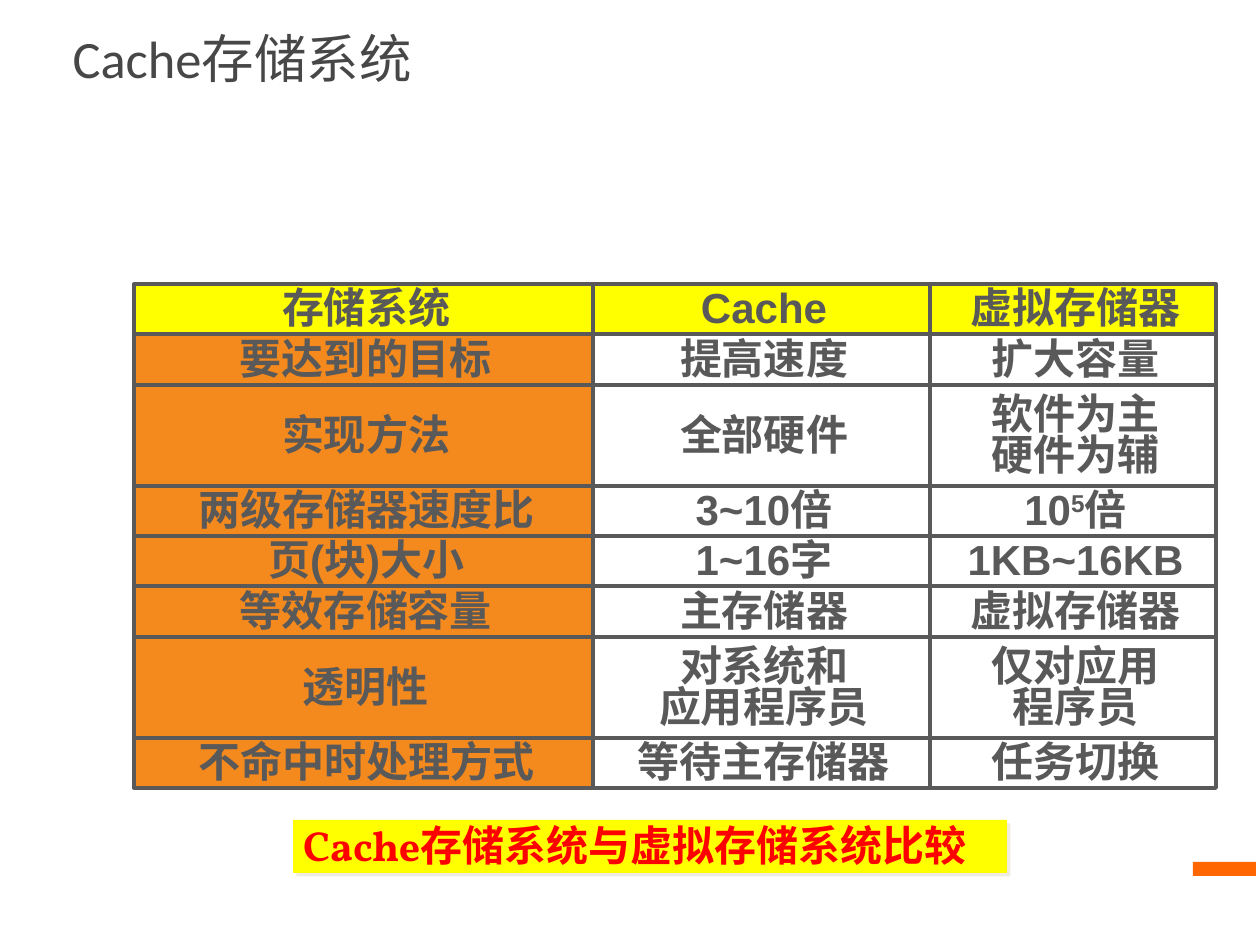
from itertools import accumulate
from typing import Any, NamedTuple

from lxml.etree import SubElement as Sub
from pptx import Presentation
from pptx.dml.color import RGBColor
from pptx.enum.shapes import MSO_SHAPE as Shape
from pptx.enum.text import MSO_ANCHOR as Anchor, MSO_AUTO_SIZE as Auto, PP_ALIGN as Align
from pptx.oxml.ns import qn
from pptx.util import Emu, Pt

GREY, YELLOW, ORANGE = "595959", "FFFF00", "F4891E"
CELL = {"name": "Arial", "size": Pt(24), "bold": True}
NOTE = {"name": "Vollkorn", "size": Pt(24), "bold": True}
HEAD = {"name": "Calibri", "size": Pt(30), "bold": False}
PAD = {"margin_left": 10, "margin_right": 5, "margin_top": 5, "margin_bottom": 0}


class Box(NamedTuple):
    x: int
    y: int
    w: int
    h: int


class Row(NamedTuple):
    label: str
    cache: str
    virtual: str
    lines: int = 1


GRID = Box(134, 284, 1082, 504)
COLS = (459, 337, 286)
ROWS = (
    Row("存储系统", "Cache", "虚拟存储器"),
    Row("要达到的目标", "提高速度", "扩大容量"),
    Row("实现方法", "全部硬件", "软件为主\n硬件为辅", 2),
    Row("两级存储器速度比", "3~10倍", "10^5^倍"),
    Row("页(块)大小", "1~16字", "1KB~16KB"),
    Row("等效存储容量", "主存储器", "虚拟存储器"),
    Row("透明性", "对系统和\v应用程序员", "仅对应用\v程序员", 2),
    Row("不命中时处理方式", "等待主存储器", "任务切换"),
)


def px(n: int) -> Emu:
    return Emu(round(n * 914400 / 126))


def rgb(code: str) -> RGBColor:
    return RGBColor.from_string(code)


def style(item: Any, form: dict[str, Any]) -> None:
    for key, val in form.items():
        setattr(item, key, val)


def add_run(para: Any, text: str, form: dict[str, Any], color: str) -> Any:
    """Add a run whose Latin and East Asian fonts are the same."""
    run = para.add_run()
    run.text = text
    style(run.font, form)
    run.font.color.rgb = rgb(color)
    Sub(run.font._element, qn("a:ea"), typeface=form["name"])
    return run


def write(frame: Any, text: str, form: dict[str, Any], color: str,
          align: Any, space: float) -> None:
    """Split text into paragraphs at \\n and lines at \\v; raise it between ^ marks."""
    for i, piece in enumerate(text.split("\n")):
        para = frame.add_paragraph() if i else frame.paragraphs[0]
        style(para, {"alignment": align, "line_spacing": space})
        for j, line in enumerate(piece.split("\v")):
            if j:
                para.add_line_break()
            for k, part in enumerate(line.split("^")):
                run = add_run(para, part, form, color)
                if k % 2:
                    run.font._element.set("baseline", "30000")


def block(shapes: Any, box: Box, color: str = "") -> Any:
    """Add a rectangle without a line; with no colour it has no fill."""
    rect = shapes.add_shape(Shape.RECTANGLE, *map(px, box))
    rect.shadow.inherit = False
    rect.line.fill.background()
    if color:
        rect.fill.solid()
        rect.fill.fore_color.rgb = rgb(color)
    else:
        rect.fill.background()
    frame = rect.text_frame
    style(frame, {key: px(val) for key, val in PAD.items()})
    style(frame, {"word_wrap": False, "vertical_anchor": Anchor.MIDDLE})
    return rect


def title(slide: Any, text: str, box: Box) -> None:
    head = slide.shapes.title
    style(head, dict(zip(("left", "top", "width", "height"), map(px, box))))
    frame = head.text_frame
    style(frame, {"auto_size": Auto.NONE, "vertical_anchor": Anchor.MIDDLE})
    write(frame, text, HEAD, "474747", Align.LEFT, 1.0)


def grid(slide: Any) -> None:
    group = slide.shapes.add_group_shape()
    lefts = tuple(accumulate(COLS, initial=GRID.x))
    steps = tuple(accumulate((row.lines for row in ROWS), initial=0))
    tops = [GRID.y + round(GRID.h * n / steps[-1]) for n in steps]
    for i, row in enumerate(ROWS):
        for j, text in enumerate((row.label, row.cache, row.virtual)):
            color = YELLOW if i == 0 else "" if j else ORANGE
            box = Box(lefts[j], tops[i], COLS[j], tops[i + 1] - tops[i])
            cell = block(group.shapes, box, color)
            cell.line.color.rgb = rgb(GREY)
            cell.line.width = Pt(2.25)
            write(cell.text_frame, text, CELL, GREY, Align.CENTER, 0.8)


def caption(slide: Any, text: str, box: Box) -> None:
    rect = block(slide.shapes, box, YELLOW)
    effect = rect._element.spPr.find(qn("a:effectLst"))
    shade = Sub(effect, qn("a:outerShdw"), dist=str(Pt(2.8)), dir="2700000",
                algn="ctr", rotWithShape="0")
    Sub(shade, qn("a:srgbClr"), val="EEECE1")
    rect.text_frame.word_wrap = True
    write(rect.text_frame, text, NOTE, "FF0000", Align.LEFT, 0.8)


def main() -> None:
    deck = Presentation()
    style(deck, {"slide_width": px(1260), "slide_height": px(945)})
    slide = deck.slides.add_slide(deck.slide_layouts[5])
    block(slide.shapes, Box(1193, 862, 63, 14), "FF6600")
    title(slide, "Cache存储系统", Box(60, 10, 1158, 95))
    grid(slide)
    caption(slide, "Cache存储系统与虚拟存储系统比较", Box(293, 820, 714, 53))
    deck.save("out.pptx")


if __name__ == "__main__":
    main()
